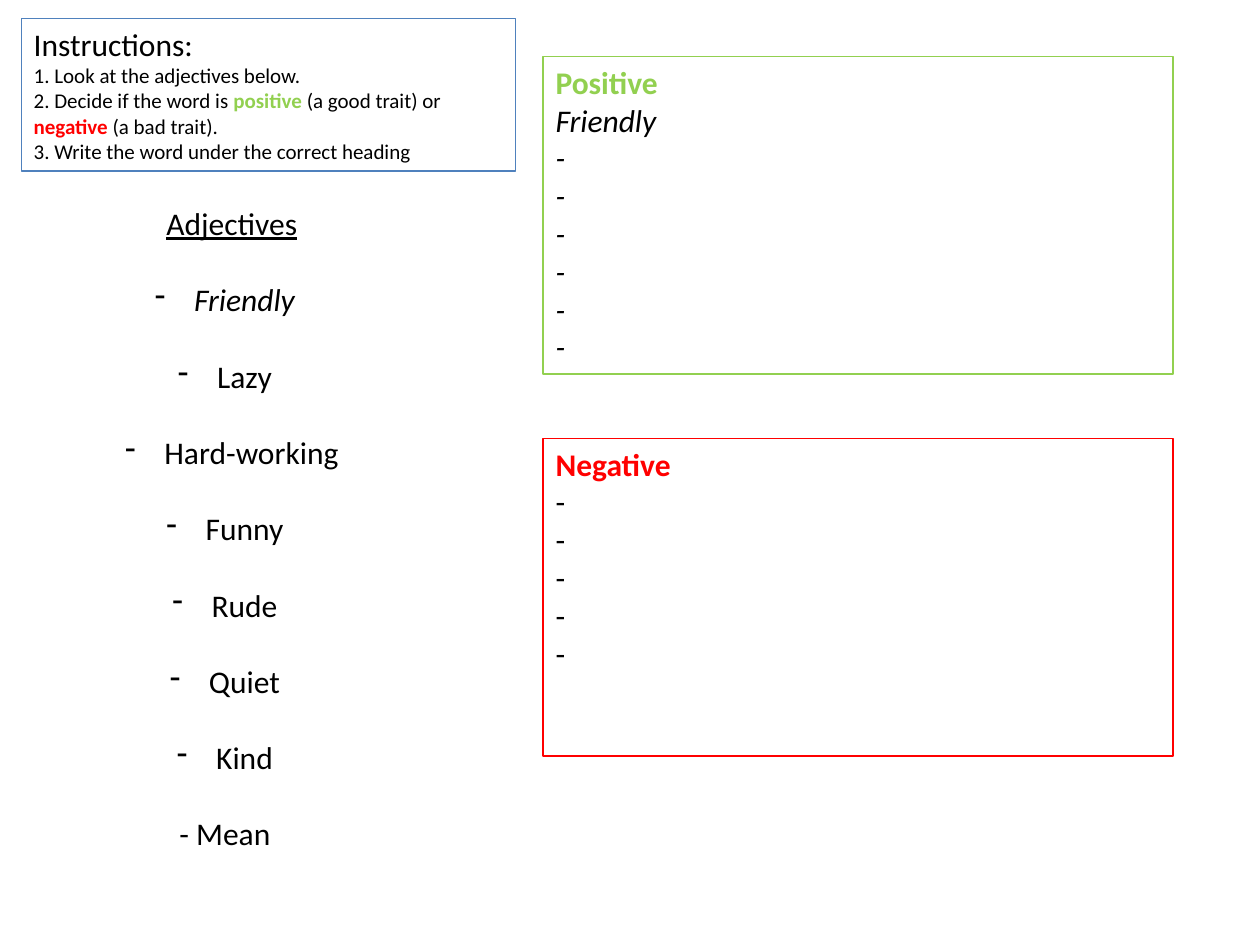
from pptx import Presentation
from pptx.dml.color import RGBColor as Rgb
from pptx.enum.shapes import MSO_SHAPE as Kind
from pptx.enum.text import MSO_ANCHOR as Anchor, PP_ALIGN as Align
from pptx.oxml.ns import qn
from pptx.util import Cm, Pt
from lxml.etree import SubElement as Sub

HUES = {"black": "000000", "good": "92D050", "bad": "FF0000", "blue": "4F81BD"}
WORDS = ["Friendly", "Lazy", "Hard-working", "Funny", "Rude", "Quiet", "Kind"]


def add_run(para, text, size=18, hue="black", bold=False, slant=False):
    run = para.add_run()
    run.text = text
    font = run.font
    font.name, font.size = "Calibri", Pt(size)
    font.bold, font.italic = bold, slant
    font.color.rgb = Rgb.from_string(HUES[hue])
    return run


def add_frame(slide, box, hue):
    """Add an outlined box and return its text frame."""
    shape = slide.shapes.add_shape(Kind.RECTANGLE, *map(Cm, box))
    shape.shadow.inherit = False
    shape.fill.background()
    shape.line.color.rgb = Rgb.from_string(HUES[hue])
    shape.line.width = Pt(0.75)
    frame = shape.text_frame
    frame.word_wrap = True
    frame.vertical_anchor = Anchor.TOP
    return frame


def add_lines(frame, lines):
    """Fill a frame; each line is a list of (text, run options) pairs."""
    for i, line in enumerate(lines):
        para = frame.add_paragraph() if i else frame.paragraphs[0]
        para.alignment = Align.LEFT
        for text, style in line:
            add_run(para, text, **style)


def add_guide(slide, box):
    small = {"size": 12}
    add_lines(add_frame(slide, box, "blue"), [
        [("Instructions:", {})],
        [("1. Look at the adjectives below.", small)],
        [("2. Decide if the word is ", small),
         ("positive", {"size": 12, "hue": "good", "bold": True}),
         (" (a good trait) or ", small),
         ("negative", {"size": 12, "hue": "bad", "bold": True}),
         (" (a bad trait).", small)],
        [("3. Write the word under the correct heading", small)],
    ])


def add_answers(slide, box, title, hue, count, sample=None, slant=False):
    lines = [[(title, {"hue": hue, "bold": True})]]
    if sample:
        lines.append([(sample, {"slant": True})])
    lines += [[("-", {"slant": slant})]] * count
    add_lines(add_frame(slide, box, hue), lines)


def indent(para, left, right):
    """Set the side margins, with a dash hanging in the left one."""
    props = para._p.get_or_add_pPr()
    props.set("marR", str(Cm(right)))
    if left:
        props.set("marL", str(Cm(left)))
        props.set("indent", str(-Cm(left)))
        Sub(props, qn("a:buFontTx"))
        Sub(props, qn("a:buChar"), char="-")


def add_words(slide, box):
    frame = slide.shapes.add_textbox(*map(Cm, box)).text_frame
    frame.word_wrap = True
    head = frame.paragraphs[0]
    head.alignment = Align.CENTER
    add_run(head, "Adjectives").font.underline = True
    for word in WORDS + ["- Mean"]:
        para = frame.add_paragraph()
        para.alignment = Align.CENTER
        para.space_before = Pt(22)
        indent(para, 0.79 if word in WORDS else 0,
               0 if word == "Hard-working" else 0.28)
        add_run(para, word, slant=word == "Friendly")


def main():
    deck = Presentation()
    deck.slide_width, deck.slide_height = Cm(25.4), Cm(19.05)
    slide = deck.slides.add_slide(deck.slide_layouts[6])
    add_words(slide, (1.12, 3.99, 7.11, 13.34))
    add_answers(slide, (10.95, 1.14, 12.7, 6.4), "Positive", "good", 6,
                "Friendly", slant=True)
    add_answers(slide, (10.95, 8.84, 12.7, 6.4), "Negative", "bad", 5)
    add_guide(slide, (0.43, 0.38, 9.96, 3.07))
    deck.save("out.pptx")


if __name__ == "__main__":
    main()
